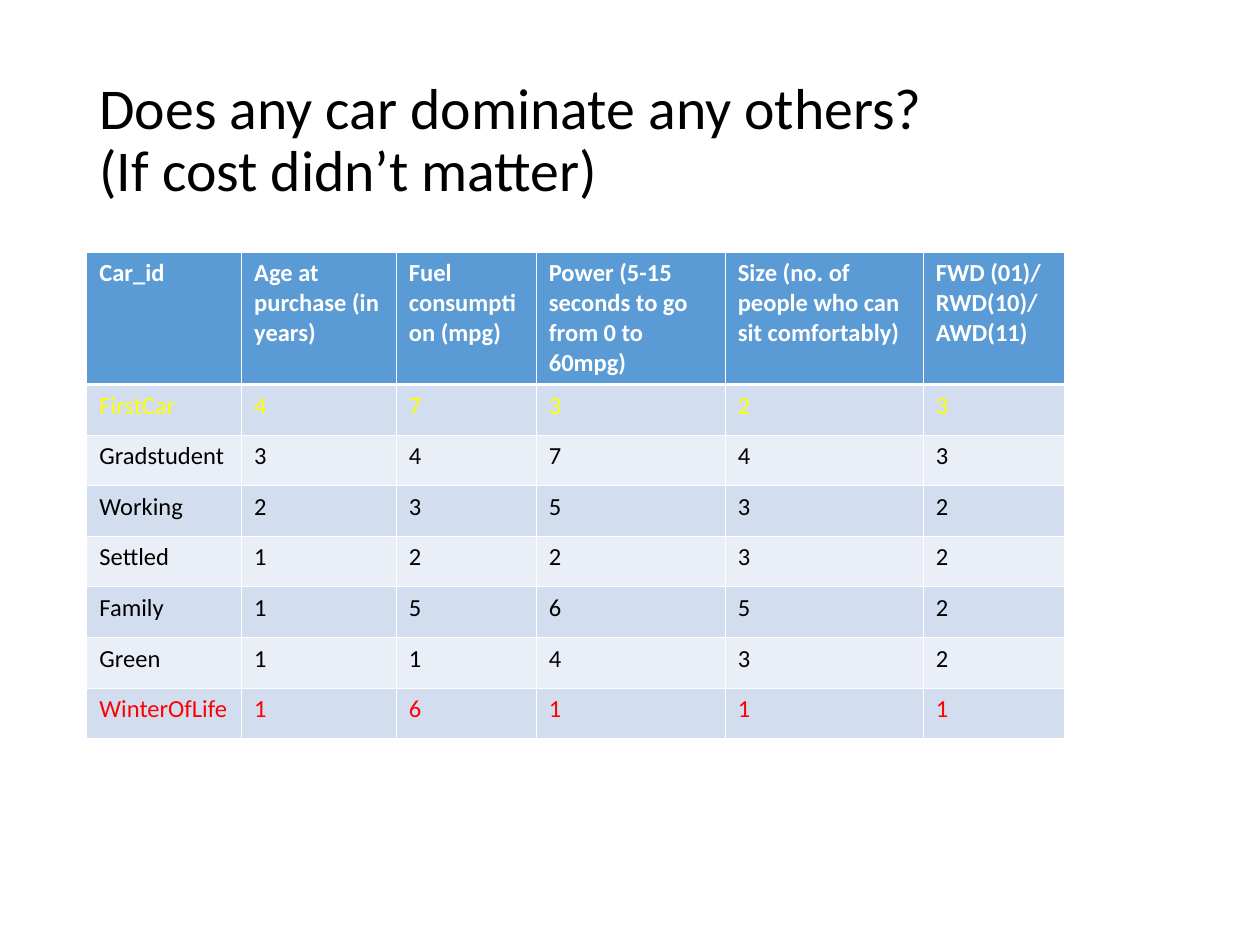
from lxml import etree
from pptx import Presentation
from pptx.dml.color import RGBColor
from pptx.enum.text import MSO_ANCHOR, MSO_AUTO_SIZE, PP_ALIGN
from pptx.oxml.ns import qn
from pptx.util import Cm, Pt

LEFT = PP_ALIGN.LEFT
MIDDLE = MSO_ANCHOR.MIDDLE
NO_AUTOFIT = MSO_AUTO_SIZE.NONE
TITLE_ONLY = 5

COLORS = {
    "text": "000000",
    "white": "FFFFFF",
    "header": "5B9BD5",
    "odd_row": "D2DEEF",
    "even_row": "EAEFF7",
    "dominated": "FFFF00",
    "dominating": "FF0000",
}
THIN, THICK = Pt(0.45), Pt(1.47)

TITLE = "Does any car dominate any others? \v(If cost didn’t matter)"
HEADINGS = [
    "Car_id",
    "Age at purchase (in years)",
    "Fuel consumption (mpg)",
    "Power (5-15 seconds to go from 0 to 60mpg)",
    "Size (no. of people who can sit comfortably)",
    "FWD (01)/ RWD(10)/ AWD(11)",
]
CARS = [
    ("FirstCar", 4, 7, 3, 2, 3),
    ("Gradstudent", 3, 4, 7, 4, 3),
    ("Working", 2, 3, 5, 3, 2),
    ("Settled", 1, 2, 2, 3, 2),
    ("Family", 1, 5, 6, 5, 2),
    ("Green", 1, 1, 4, 3, 2),
    ("WinterOfLife", 1, 6, 1, 1, 1),
]
HIGHLIGHTS = {"FirstCar": "dominated", "WinterOfLife": "dominating"}
COLUMN_WIDTHS = [3.12, 3.12, 2.82, 3.81, 3.99, 2.84]
HEADER_HEIGHT, CAR_HEIGHT = 2.67, 1.02


def rgb(name):
    return RGBColor.from_string(COLORS[name])


def format_font(paragraph, color, **values):
    paragraph.font.color.rgb = rgb(color)
    for attribute, value in {"name": "Calibri", **values}.items():
        setattr(paragraph.font, attribute, value)


def add_borders(cell, top, bottom):
    """Draw white borders; call before the cell's fill is set."""
    properties = cell._tc.get_or_add_tcPr()
    widths = {"a:lnL": THIN, "a:lnR": THIN, "a:lnT": top, "a:lnB": bottom}
    for tag, width in widths.items():
        line = etree.SubElement(properties, qn(tag), w=str(width))
        fill = etree.SubElement(line, qn("a:solidFill"))
        etree.SubElement(fill, qn("a:srgbClr"), val=COLORS["white"])


def place_title(slide, left, top, width, height):
    title = slide.shapes.title
    box = {"left": left, "top": top, "width": width, "height": height}
    for attribute, value in box.items():
        setattr(title, attribute, Cm(value))
    frame = title.text_frame
    frame.text = TITLE
    frame.auto_size = NO_AUTOFIT
    frame.vertical_anchor = MIDDLE
    paragraph = frame.paragraphs[0]
    paragraph.alignment = LEFT
    paragraph.line_spacing = 0.9
    format_font(paragraph, "text", size=Pt(33))


def fill_row(table, index, values, fill, color, bold=False):
    top = THICK if index == 1 else THIN
    bottom = THICK if index == 0 else THIN
    for column, value in enumerate(values):
        cell = table.cell(index, column)
        add_borders(cell, top, bottom)
        cell.fill.solid()
        cell.fill.fore_color.rgb = rgb(fill)
        cell.text = str(value)
        format_font(cell.text_frame.paragraphs[0], color, size=Pt(14), bold=bold)


def add_car_table(slide, left, top):
    heights = [HEADER_HEIGHT] + [CAR_HEIGHT] * len(CARS)
    table = slide.shapes.add_table(
        len(heights), len(HEADINGS), Cm(left), Cm(top),
        Cm(sum(COLUMN_WIDTHS)), Cm(sum(heights)),
    ).table
    for column, width in zip(table.columns, COLUMN_WIDTHS):
        column.width = Cm(width)
    for row, height in zip(table.rows, heights):
        row.height = Cm(height)

    fill_row(table, 0, HEADINGS, "header", "white", bold=True)
    for index, car in enumerate(CARS, start=1):
        band = "odd_row" if index % 2 else "even_row"
        fill_row(table, index, car, band, HIGHLIGHTS.get(car[0], "text"))


def main():
    presentation = Presentation()
    presentation.slide_width = Cm(25.4)
    presentation.slide_height = Cm(19.05)
    slide = presentation.slides.add_slide(presentation.slide_layouts[TITLE_ONLY])
    place_title(slide, 1.75, 1.02, 21.92, 3.68)
    add_car_table(slide, 1.75, 5.08)
    presentation.save("out.pptx")


if __name__ == "__main__":
    main()
